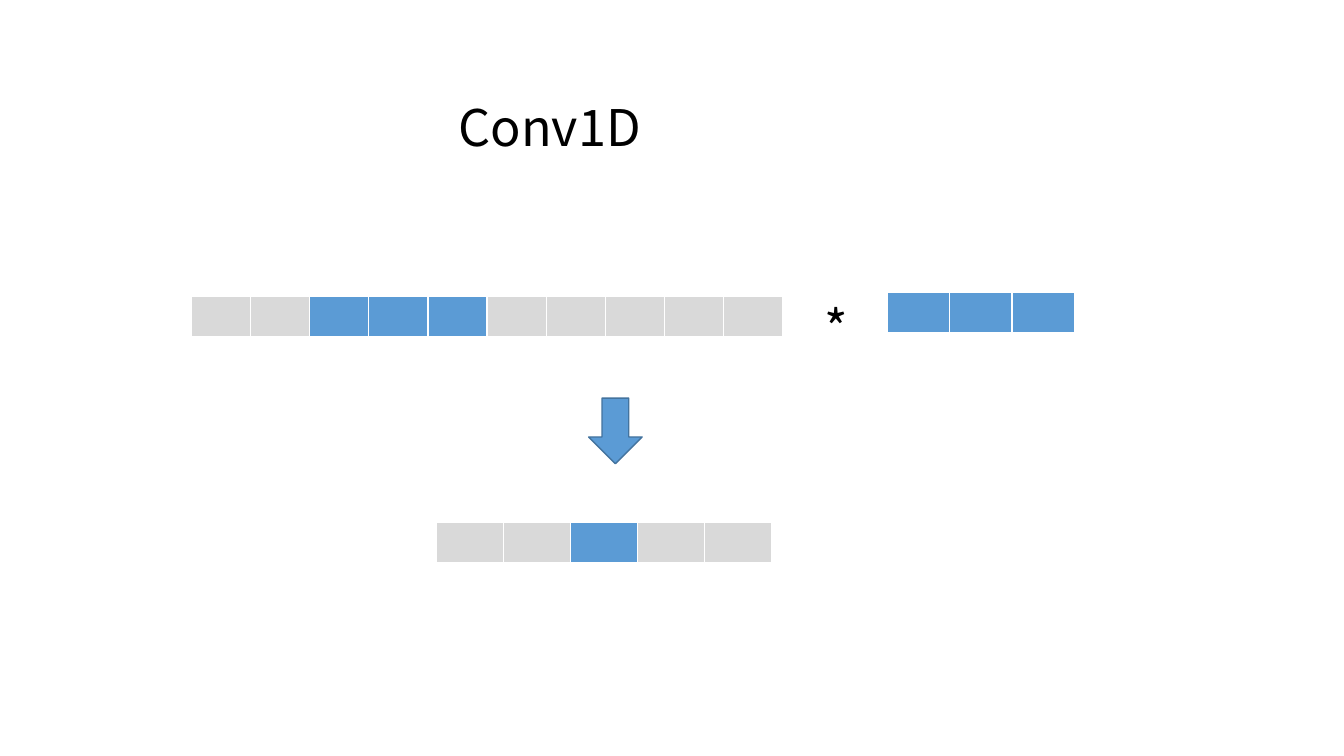
from dataclasses import dataclass

from lxml import etree
from pptx import Presentation, util as u
from pptx.dml.color import RGBColor
from pptx.enum import shapes, text
from pptx.oxml import ns
from pptx.slide import Slide
from pptx.table import _Cell

COLORS = {
    "idle": "D9D9D9",
    "active": "5B9BD5",
    "arrow edge": "43739E",
    "grid": "FFFFFF",
    "ink": "000000",
}
FONT = "Noto Sans CJK KR"
SLIDE_WIDTH, SLIDE_HEIGHT = u.Inches(13.33), u.Inches(7.5)
CELL_HEIGHT = 5.47
BORDER_POINTS = {"lnL": 1, "lnR": 1, "lnT": 1, "lnB": 3}


@dataclass(frozen=True)
class Box:
    """A rectangle in percent of the slide's width and height."""
    left: float
    top: float
    width: float
    height: float

    def place(self) -> tuple[int, int, int, int]:
        return (across(self.left), down(self.top),
                across(self.width), down(self.height))


@dataclass(frozen=True)
class Vector:
    """A row of cells; active holds the indices of the highlighted ones."""
    left: float
    top: float
    cell_width: float
    size: int
    active: range


@dataclass(frozen=True)
class Label:
    wording: str
    box: Box


VECTORS = [
    Vector(14.25, 39.2, 4.4, 10, range(2, 5)),
    Vector(66, 38.67, 4.65, 3, range(3)),
    Vector(32.48, 69.07, 4.98, 5, range(2, 3)),
]
LABELS = [
    Label("Conv1D", Box(33.38, 12, 15.07, 9.47)),
    Label("*", Box(60.6, 38.67, 3.15, 9.47)),
]
ARROW = Box(43.8, 52.67, 3.98, 8.67)


def across(percent: float) -> int:
    return round(SLIDE_WIDTH * percent / 100)


def down(percent: float) -> int:
    return round(SLIDE_HEIGHT * percent / 100)


def rgb(name: str) -> RGBColor:
    return RGBColor.from_string(COLORS[name])


def add_borders(cell: _Cell) -> None:
    properties = cell._tc.get_or_add_tcPr()
    for position, (side, points) in enumerate(BORDER_POINTS.items()):
        border = etree.Element(ns.qn(f"a:{side}"), w=str(u.Pt(points)))
        fill = etree.SubElement(border, ns.qn("a:solidFill"))
        etree.SubElement(fill, ns.qn("a:srgbClr"), val=COLORS["grid"])
        properties.insert(position, border)


def add_vector(slide: Slide, vector: Vector) -> None:
    box = Box(vector.left, vector.top,
              vector.cell_width * vector.size, CELL_HEIGHT)
    table = slide.shapes.add_table(1, vector.size, *box.place()).table
    for index, column in enumerate(table.columns):
        column.width = across(vector.cell_width)
        cell = table.cell(0, index)
        cell.fill.solid()
        cell.fill.fore_color.rgb = rgb(
            "active" if index in vector.active else "idle")
        add_borders(cell)


def add_label(slide: Slide, label: Label) -> None:
    frame = slide.shapes.add_textbox(*label.box.place()).text_frame
    frame.word_wrap = False
    frame.auto_size = text.MSO_AUTO_SIZE.SHAPE_TO_FIT_TEXT
    run = frame.paragraphs[0].add_run()
    run.text = label.wording
    run.font.name = FONT
    run.font.size = u.Pt(36)
    run.font.color.rgb = rgb("ink")


def add_arrow(slide: Slide, box: Box) -> None:
    arrow = slide.shapes.add_shape(
        shapes.MSO_SHAPE.DOWN_ARROW, *box.place())
    arrow.shadow.inherit = False
    arrow.fill.solid()
    arrow.fill.fore_color.rgb = rgb("active")
    arrow.line.color.rgb = rgb("arrow edge")
    arrow.line.width = u.Pt(1)


def main() -> None:
    deck = Presentation()
    deck.slide_width, deck.slide_height = SLIDE_WIDTH, SLIDE_HEIGHT
    slide = deck.slides.add_slide(deck.slide_layouts[6])
    for label in LABELS:
        add_label(slide, label)
    for vector in VECTORS:
        add_vector(slide, vector)
    add_arrow(slide, ARROW)
    deck.save("out.pptx")


if __name__ == "__main__":
    main()
